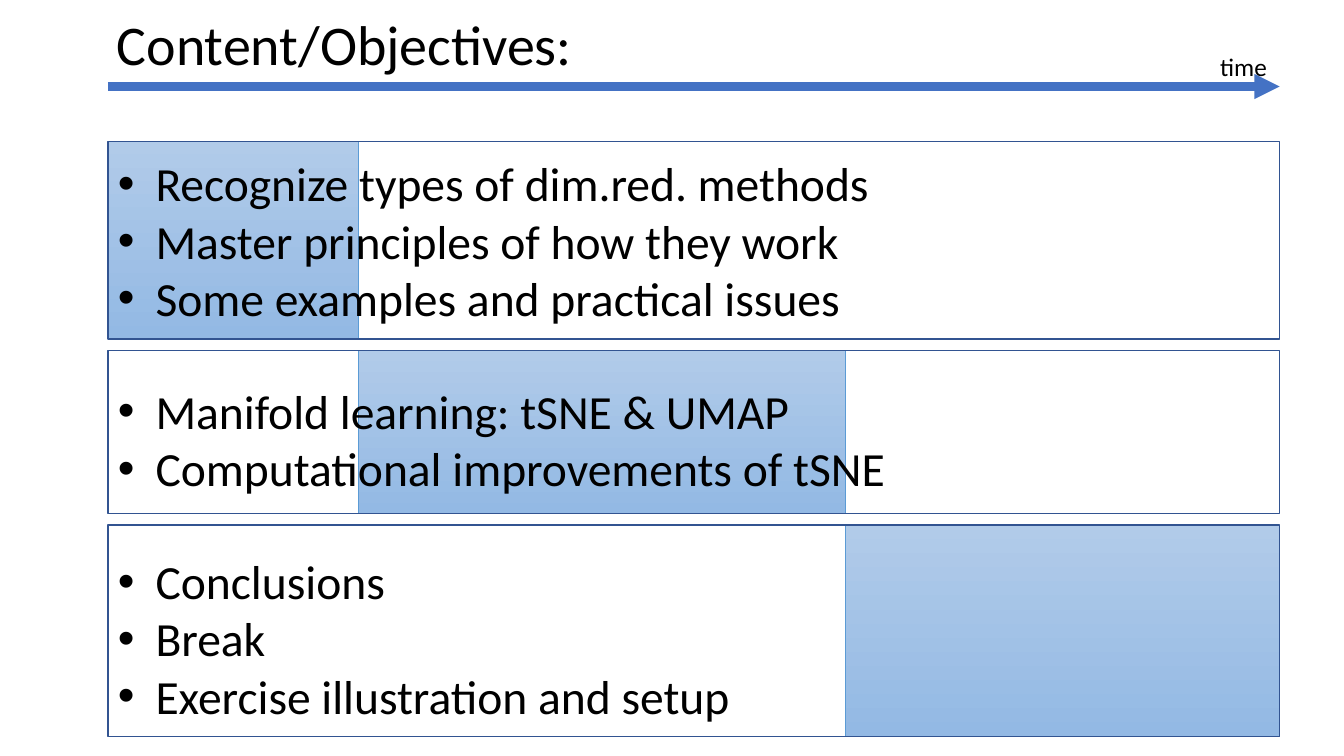
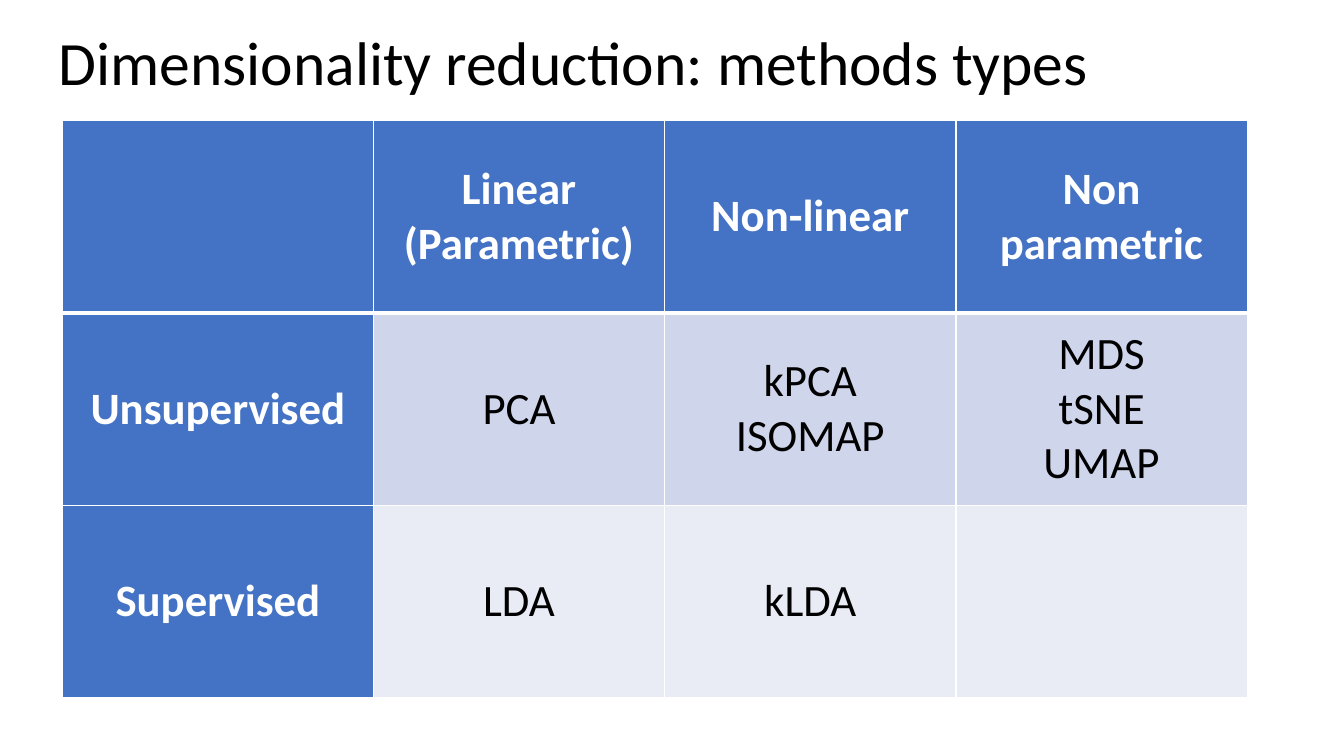
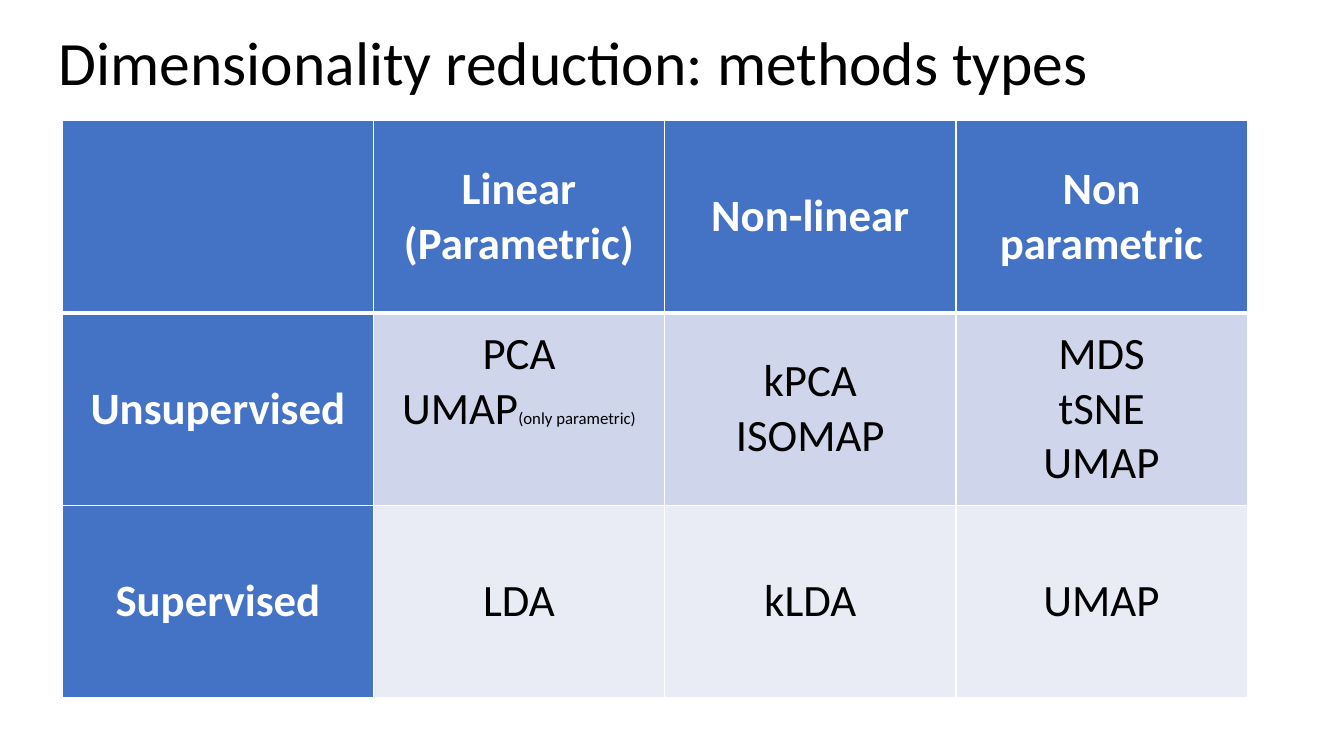
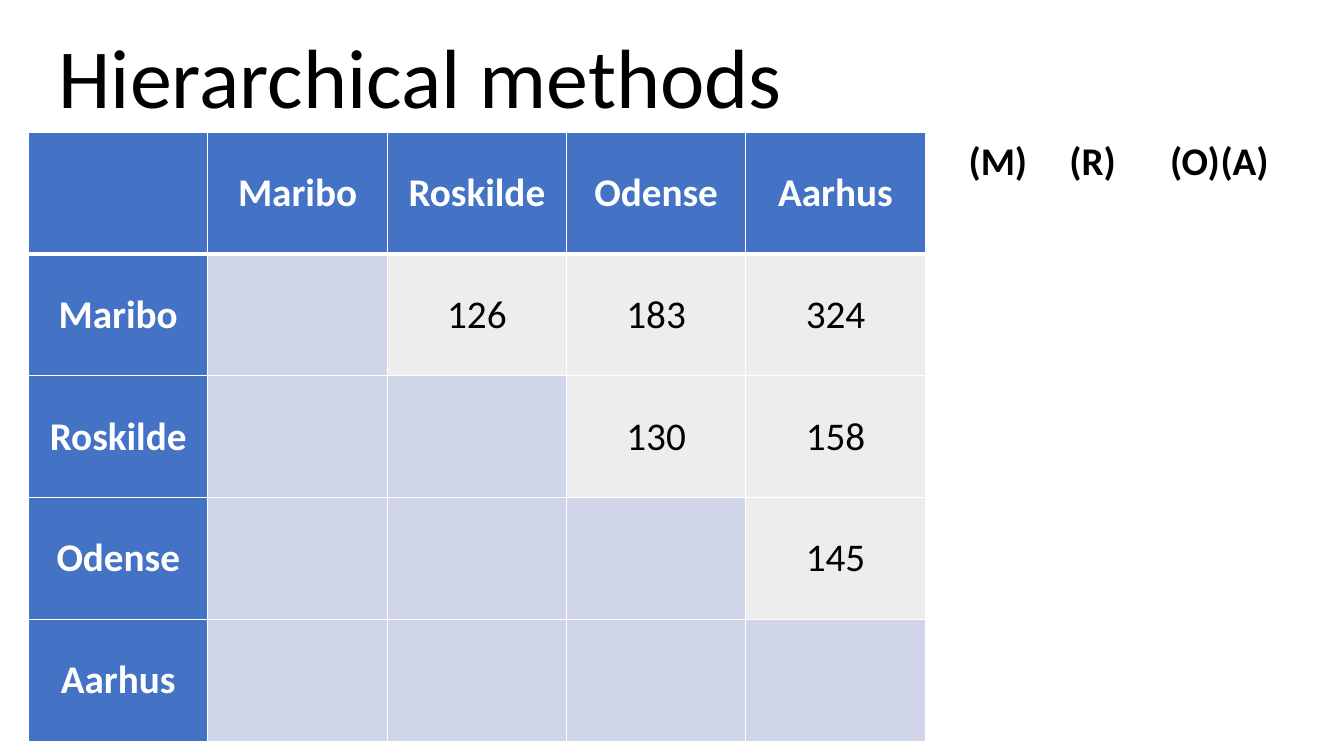
from lxml.etree import SubElement
from pptx import Presentation
from pptx.dml.color import RGBColor
from pptx.enum.shapes import MSO_CONNECTOR, MSO_SHAPE
from pptx.enum.text import MSO_ANCHOR as Anchor, MSO_AUTO_SIZE, PP_ALIGN as Align
from pptx.oxml.ns import qn
from pptx.util import Cm, Pt

BLACK = RGBColor(0x00, 0x00, 0x00)
WHITE = RGBColor(0xFF, 0xFF, 0xFF)
BLUE = RGBColor(0x44, 0x72, 0xC4)
OUTLINE = RGBColor(0x32, 0x54, 0x91)
BLOCK_LINE = RGBColor(0x5B, 0x9B, 0xD5)
BLOCK_TOP = RGBColor(0xB1, 0xCB, 0xE9)
BLOCK_BOTTOM = RGBColor(0x93, 0xB9, 0xE4)
DARK_ROW = RGBColor(0xCF, 0xD5, 0xEA)
LIGHT_ROW = RGBColor(0xE9, 0xEB, 0xF5)
EMPTY_CELL = RGBColor(0xD0, 0xD5, 0xEA)
DISTANCE_CELL = RGBColor(0xED, 0xED, 0xED)
FONT = "Calibri"
TITLE_ONLY = 5


def write_text(frame, paragraphs, size, color=BLACK, bold=False, align=Align.LEFT,
               bullets=False, tab_stops=()):
    """Each paragraph is a string (a vertical tab breaks the line) or a list of (text, size)."""
    for index, content in enumerate(paragraphs):
        paragraph = frame.paragraphs[0] if index == 0 else frame.add_paragraph()
        paragraph.alignment = align
        properties = paragraph._p.get_or_add_pPr()
        if bullets:
            indent = Cm(0.95)
            properties.set("marL", str(indent))
            properties.set("indent", str(-indent))
            SubElement(properties, qn("a:buFont"), typeface="Arial")
            SubElement(properties, qn("a:buChar"), char="•")
        if tab_stops:
            tab_list = SubElement(properties, qn("a:tabLst"))
            for stop in tab_stops:
                SubElement(tab_list, qn("a:tab"), pos=str(Cm(stop)), algn="l")
        runs = [(content, size)] if isinstance(content, str) else content
        for text, run_size in runs:
            for line_index, line in enumerate(text.split("\v")):
                if line_index:
                    paragraph.add_line_break()
                run = paragraph.add_run()
                run.text = line
                run.font.name = FONT
                run.font.size = Pt(run_size)
                run.font.bold = bold
                run.font.color.rgb = color


def set_borders(cell, **widths):
    """Draw white cell borders; widths in points are keyed L, R, T and B, in that order."""
    properties = cell._tc.get_or_add_tcPr()
    for index, (side, width) in enumerate(widths.items()):
        line = SubElement(properties, qn(f"a:ln{side}"), w=str(Pt(width)))
        fill = SubElement(line, qn("a:solidFill"))
        SubElement(fill, qn("a:srgbClr"), val=str(WHITE))
        properties.insert(index, line)


class Deck:
    """Holds the presentation, its style and the current slide; lengths are in centimetres."""

    def __init__(self):
        self.presentation = Presentation()
        self.presentation.slide_width = Cm(33.87)
        self.presentation.slide_height = Cm(19.05)
        self.slide = None

    def add_slide(self, title, size=44, left=1.22, top=0.48):
        layout = self.presentation.slide_layouts[TITLE_ONLY]
        self.slide = self.presentation.slides.add_slide(layout)
        shape = self.slide.shapes.title
        shape.left, shape.top = Cm(left), Cm(top)
        shape.width, shape.height = Cm(28), Cm(size * 0.05)
        frame = shape.text_frame
        frame.auto_size = MSO_AUTO_SIZE.NONE
        frame.vertical_anchor = Anchor.TOP
        write_text(frame, [title], size)

    def text(self, left, top, width, height, paragraphs, size, **style):
        frame = self.slide.shapes.add_textbox(
            Cm(left), Cm(top), Cm(width), Cm(height)).text_frame
        frame.word_wrap = True
        write_text(frame, paragraphs, size, **style)

    def rectangle(self, left, top, width, height, line_color, line_width):
        shape = self.slide.shapes.add_shape(
            MSO_SHAPE.RECTANGLE, Cm(left), Cm(top), Cm(width), Cm(height))
        shape.shadow.inherit = False
        shape.line.color.rgb = line_color
        shape.line.width = Pt(line_width)
        return shape

    def time_block(self, left, top, width, height):
        fill = self.rectangle(left, top, width, height, BLOCK_LINE, 0.5).fill
        fill.gradient()
        fill.gradient_angle = 270
        for stop, color in zip(fill.gradient_stops, (BLOCK_TOP, BLOCK_BOTTOM)):
            stop.color.rgb = color

    def bullet_band(self, left, top, width, height, items, margin_top):
        shape = self.rectangle(left, top, width, height, OUTLINE, 1)
        shape.fill.background()
        frame = shape.text_frame
        frame.word_wrap = True
        frame.vertical_anchor = Anchor.MIDDLE
        frame.margin_top, frame.margin_bottom = Cm(margin_top), Cm(0)
        write_text(frame, items, 34, bullets=True)

    def arrow(self, left, right, top):
        connector = self.slide.shapes.add_connector(
            MSO_CONNECTOR.STRAIGHT, Cm(left), Cm(top), Cm(right), Cm(top))
        connector.line.color.rgb = BLUE
        connector.line.width = Pt(6)
        properties = connector._element.spPr
        SubElement(properties.find(qn("a:ln")), qn("a:tailEnd"), type="triangle")
        SubElement(properties, qn("a:effectLst"))

    def table(self, left, top, column_widths, row_height, rows, size, body_fill):
        """Rows hold lists of paragraphs; body_fill(row, paragraphs) gives a body cell's colour."""
        table = self.slide.shapes.add_table(
            len(rows), len(column_widths), Cm(left), Cm(top),
            Cm(sum(column_widths)), Cm(row_height * len(rows))).table
        table.horz_banding = False
        table.first_col = True
        for column, width in zip(table.columns, column_widths):
            column.width = Cm(width)
        for row_index, row in enumerate(rows):
            table.rows[row_index].height = Cm(row_height)
            for column_index, paragraphs in enumerate(row):
                cell = table.cell(row_index, column_index)
                header = row_index == 0 or column_index == 0
                cell.fill.solid()
                cell.fill.fore_color.rgb = BLUE if header else body_fill(row_index, paragraphs)
                cell.vertical_anchor = Anchor.MIDDLE
                set_borders(cell, L=1, R=1, T=3 if row_index == 1 else 1,
                            B=3 if row_index == 0 else 1)
                write_text(cell.text_frame, paragraphs, size, bold=header,
                           color=WHITE if header else BLACK, align=Align.CENTER)
        return table


def objectives_slide(deck):
    left, right, gap = 2.72, 32.25, 0.29
    block_edges = [left, 9.03, 21.31, right]
    bands = [
        (4.98, 0, ["Recognize types of dim.red. methods",
                   "Master principles of how they work",
                   "Some examples and practical issues"]),
        (4.11, 0.36, ["Manifold learning: tSNE & UMAP",
                      "Computational improvements of tSNE"]),
        (5.33, 0.36, ["Conclusions", "Break", "Exercise illustration and setup"]),
    ]
    deck.add_slide("Content/Objectives:", size=40, left=2.69, top=0.1)
    top = 3.56
    for start, end, (height, margin_top, items) in zip(block_edges, block_edges[1:], bands):
        deck.time_block(start, top, end - start, height)
        deck.bullet_band(left, top, right - left, height, items, margin_top)
        top += height + gap
    deck.arrow(left, right, 2.18)
    deck.text(30.5, 1.17, 2.5, 1.02, ["time"], 18)


def method_types_slide(deck, linear, supervised):
    """Show the table of methods with the given unsupervised linear and supervised cells."""
    deck.add_slide("Dimensionality reduction: methods types")
    rows = [
        [[], ["Linear\v(Parametric)"], ["Non-linear"], ["Non parametric"]],
        [["Unsupervised"], linear, ["kPCA", "ISOMAP"], ["MDS", "tSNE", "UMAP"]],
        [["Supervised"], ["LDA"], ["kLDA"], supervised],
    ]
    return deck.table(1.58, 3.03, [7.83] + [7.34] * 3, 4.85, rows, 32,
                      lambda row, paragraphs: DARK_ROW if row == 1 else LIGHT_ROW)


def hierarchical_slide(deck):
    cities = ["Maribo", "Roskilde", "Odense", "Aarhus"]
    distances = [["126", "183", "324"], ["130", "158"], ["145"], []]
    rows = [[[]] + [[city] for city in cities]]
    for city, values in zip(cities, distances):
        blanks = [[] for _ in range(len(cities) - len(values))]
        rows.append([[city]] + blanks + [[value] for value in values])
    deck.add_slide("Hierarchical methods", size=60)
    deck.table(0.72, 3.33, [4.52] * 5, 3.07, rows, 28,
               lambda row, paragraphs: DISTANCE_CELL if paragraphs else EMPTY_CELL)
    deck.text(24.16, 3.3, 9.45, 1.4, ["(M)\t(R)\t\t(O)\t(A)"], 28, bold=True,
              tab_stops=[1.27 * step for step in range(2, 6)])


def main():
    deck = Deck()
    objectives_slide(deck)
    method_types_slide(deck, linear=["PCA"], supervised=[])
    table = method_types_slide(
        deck, linear=["PCA", [("UMAP", 32), ("(only parametric)", 12)]], supervised=["UMAP"])
    table.cell(1, 1).margin_bottom = Cm(1.5)
    hierarchical_slide(deck)
    deck.presentation.save("out.pptx")


if __name__ == "__main__":
    main()
